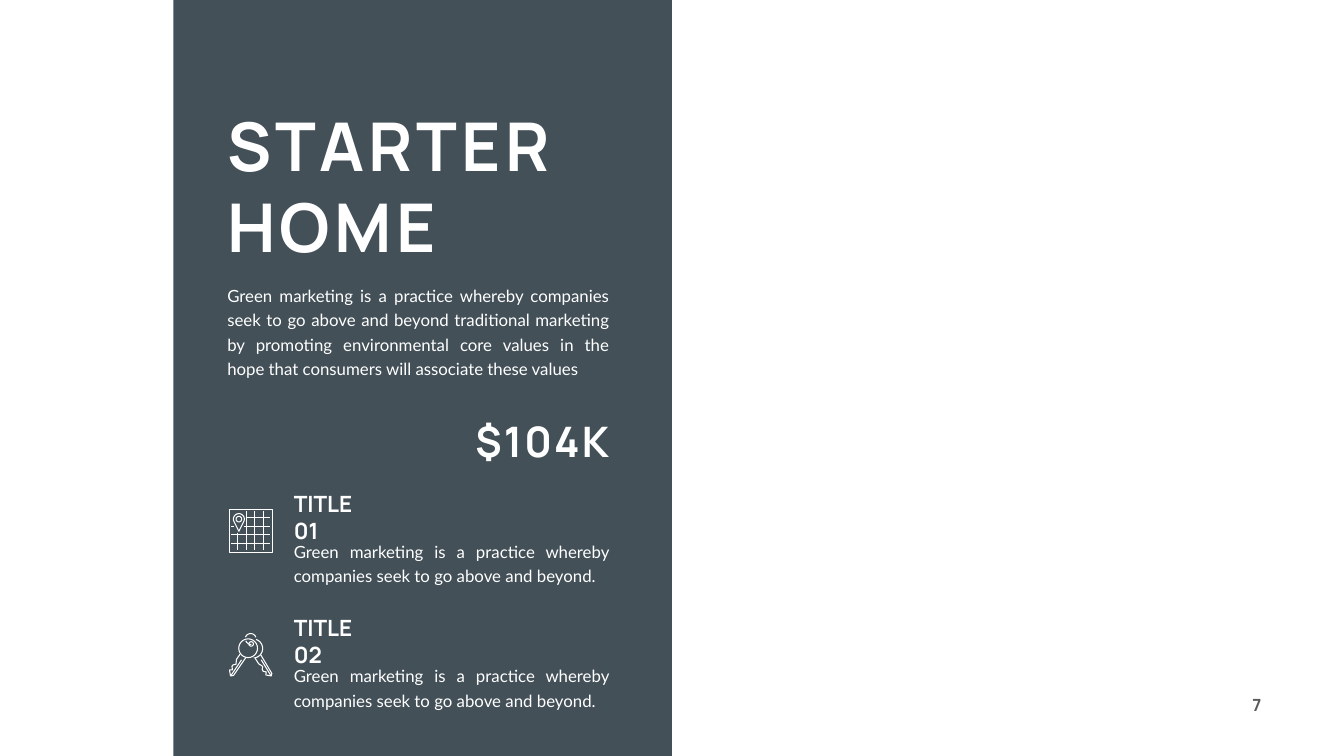
from math import cos, radians, sin

from lxml.etree import SubElement
from pptx import Presentation
from pptx.dml.color import RGBColor
from pptx.enum.shapes import MSO_SHAPE
from pptx.enum.text import MSO_ANCHOR, MSO_AUTO_SIZE, PP_ALIGN
from pptx.oxml.ns import qn
from pptx.util import Pt

COLORS = {"panel": "2F3E46", "light": "FFFFFF", "number": "595959"}
HEADING_FONT, BODY_FONT = "Manrope", "Lato"
TEXT_LEFT, FEATURE_LEFT, TEXT_RIGHT = 317.5, 412.5, 877
ICON_LEFT = 327


def arc(x, y, radius, start=0, end=360):
    """Points along a circular arc, in degrees clockwise from the right."""
    steps = 24
    angles = [radians(start + (end - start) * i / steps) for i in range(steps + 1)]
    return [(x + radius * cos(a), y + radius * sin(a)) for a in angles]


def map_strokes():
    """A framed grid with a location pin in its top left corner."""
    near, far = 3, 59
    grid = [12.6 + 12.1 * i for i in range(4)]
    frame = [(0.75, 0.75), (61.75, 0.75), (61.75, 61.75), (0.75, 61.75), (0.75, 0.75)]
    tip = (14.2, 32)
    pin = [tip, *arc(14.2, 14.6, 7.8, 160, 380), tip]
    columns = [[(x, near if i else 34), (x, far)] for i, x in enumerate(grid)]
    row_starts = [24.5, 21.6, near, near]
    rows = [[(x, y), (far, y)] for x, y in zip(row_starts, grid)]
    left_of_pin = [(near, grid[1]), (7, grid[1])]
    return [frame, pin, arc(14.2, 14.6, 4), *columns, *rows, left_of_pin]


def key_strokes():
    """Two crossed keys on a ring."""
    left_blade = [(15.8, 30.2), (10.8, 37.4), (10, 44.6), (5.8, 45.4), (4.3, 47.5),
                  (5, 52.6), (0.8, 52.6), (2.2, 61.2), (6.5, 60.5), (23.8, 35.3)]
    right_blade = [(37.4, 36), (42.5, 43.9), (48.2, 47.5), (47.5, 51.8), (49, 54.7),
                   (53.3, 55.4), (52.6, 59.8), (60.5, 61.2), (61.2, 57.6), (45.4, 31)]
    grooves = [[(18, 38.2), (2.9, 60.5)], [(46.1, 38.2), (59.8, 60.5)]]
    front_bow = arc(27.4, 21.6, 13.4)
    back_bow = arc(34.5, 22, 13.6, -72, 86)
    ring = arc(31, 8.6, 7.9, 201, 341)
    ring_end = [(24, 11), (26, 14), (29, 15.8), (32, 16.2)]
    return [left_blade, right_blade, *grooves, front_bow, back_bow,
            ring, ring_end, arc(31.7, 15.5, 3.2)]


class SlideBuilder:
    """Holds the slide and the style of its elements."""

    def __init__(self, slide):
        self.slide = slide
        self.shapes = slide.shapes

    def color(self, name):
        return RGBColor.from_string(COLORS[name])

    def panel(self, left, top, width, height, opacity):
        panel = self.shapes.add_shape(
            MSO_SHAPE.RECTANGLE, Pt(left), Pt(top), Pt(width), Pt(height))
        panel.shadow.inherit = False
        panel.line.fill.background()
        panel.fill.solid()
        panel.fill.fore_color.rgb = self.color("panel")
        fill_color = panel.fill._xPr.find(qn("a:solidFill"))[0]
        SubElement(fill_color, qn("a:alpha")).set("val", str(opacity * 1000))
        # Keep the title placeholder in front of the panel.
        self.shapes._spTree.insert(2, panel._element)

    def style_text(self, box, text, size, font=HEADING_FONT, color="light", bold=True,
                   align=PP_ALIGN.LEFT, anchor=MSO_ANCHOR.TOP, wrap=True,
                   tracking=0, line_spacing=None):
        frame = box.text_frame
        frame.text = text
        frame.word_wrap = wrap
        frame.auto_size = MSO_AUTO_SIZE.NONE
        frame.vertical_anchor = anchor
        for paragraph in frame.paragraphs:
            paragraph.alignment = align
            if line_spacing:
                paragraph.line_spacing = Pt(line_spacing)
            for run in paragraph.runs:
                run.font.name = font
                run.font.size = Pt(size)
                run.font.bold = bold
                run.font.color.rgb = self.color(color)
                if tracking:
                    run._r.get_or_add_rPr().set("spc", str(tracking * 100))

    def title(self, text, left, top, width, height):
        title = self.shapes.title
        title.left, title.top = Pt(left), Pt(top)
        title.width, title.height = Pt(width), Pt(height)
        self.style_text(title, text, 96, tracking=6)

    def label(self, text, left, top, width, height, size, **style):
        box = self.shapes.add_textbox(Pt(left), Pt(top), Pt(width), Pt(height))
        self.style_text(box, text, size, **style)

    def body(self, text, left, top, height):
        self.label(text, left, top, TEXT_RIGHT - left, height, 24, font=BODY_FONT,
                   bold=False, align=PP_ALIGN.JUSTIFY, line_spacing=35)

    def icon(self, strokes, left, top):
        first, *others = [[(Pt(x), Pt(y)) for x, y in stroke] for stroke in strokes]
        builder = self.shapes.build_freeform(*first[0])
        builder.add_line_segments(first[1:], close=False)
        for stroke in others:
            builder.move_to(*stroke[0])
            builder.add_line_segments(stroke[1:], close=False)
        icon = builder.convert_to_shape(Pt(left), Pt(top))
        icon.shadow.inherit = False
        icon.fill.background()
        icon.line.color.rgb = self.color("light")
        icon.line.width = Pt(1.5)

    def feature(self, heading, text, strokes, top):
        self.icon(strokes, ICON_LEFT, top + 11.5)
        self.label(heading, FEATURE_LEFT, top, 135.5, 46, 32, anchor=MSO_ANCHOR.MIDDLE)
        self.body(text, FEATURE_LEFT, top + 48.5, 74)


def main():
    presentation = Presentation()
    presentation.slide_width, presentation.slide_height = Pt(1919.52), Pt(1080)
    title_only = presentation.slide_layouts[5]
    home = SlideBuilder(presentation.slides.add_slide(title_only))

    home.panel(247.7, 0, 712, 1080, opacity=90)
    home.title("STARTER\nHOME", TEXT_LEFT, 145.5, 508.5, 240)
    home.body("Green marketing is a practice whereby companies seek to go above and "
              "beyond traditional marketing by promoting environmental core values in "
              "the hope that consumers will associate these values",
              TEXT_LEFT, 398, 145)
    home.label("$104K", 661.7, 589.7, TEXT_RIGHT - 661.7, 80, 60,
               align=PP_ALIGN.RIGHT, wrap=False, tracking=3)

    feature_text = ("Green marketing is a practice whereby companies seek to go "
                    "above and beyond.")
    features = [("TITLE 01", map_strokes()), ("TITLE 02", key_strokes())]
    for i, (heading, strokes) in enumerate(features):
        home.feature(heading, feature_text, strokes, 715.5 + 177.5 * i)

    home.label("7", 1757.5, 988.5, 51, 36, 24, color="number",
               align=PP_ALIGN.RIGHT, wrap=False)
    presentation.save("out.pptx")


if __name__ == "__main__":
    main()
